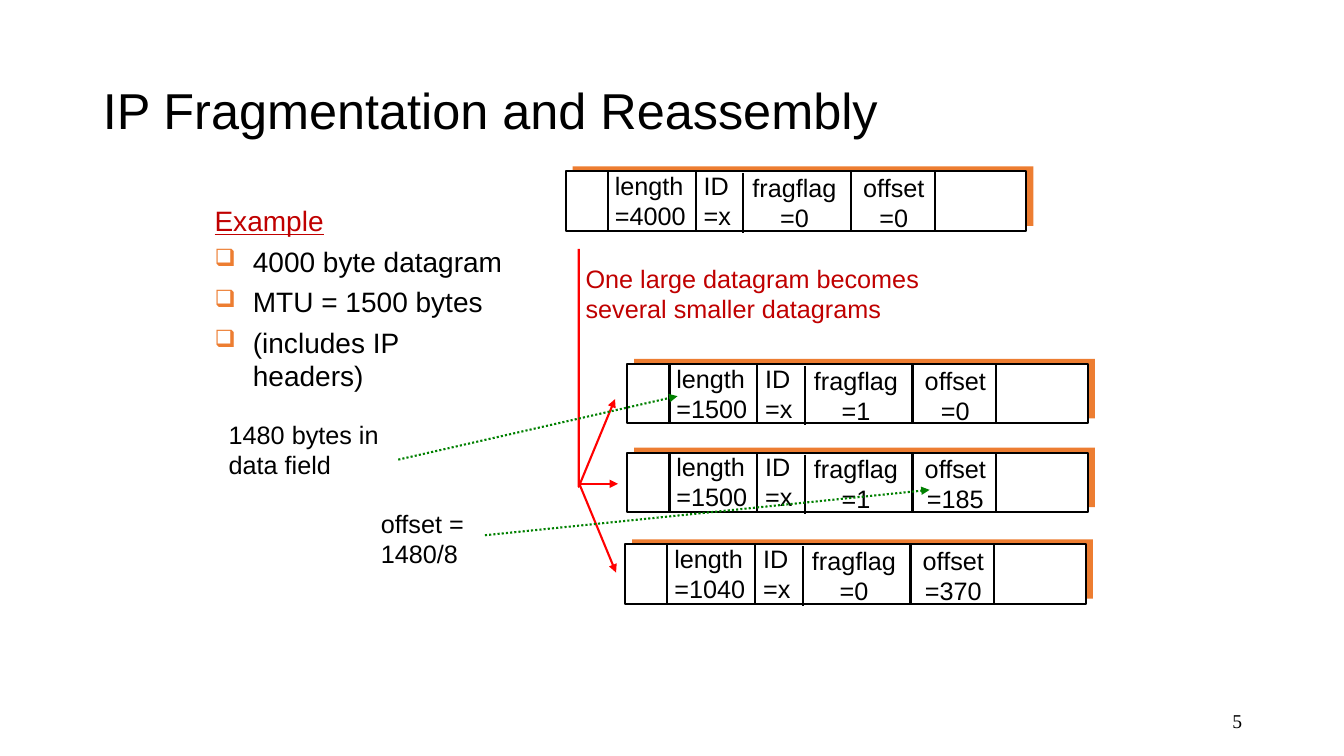
from lxml.etree import SubElement
from pptx import Presentation
from pptx.dml.color import RGBColor
from pptx.enum.dml import MSO_LINE
from pptx.enum.shapes import MSO_CONNECTOR, MSO_SHAPE
from pptx.enum.text import MSO_ANCHOR, PP_ALIGN
from pptx.oxml.ns import qn
from pptx.util import Pt

PX = 9144
BLACK, WHITE, ORANGE = "000000", "FFFFFF", "ED7D31"
CRIMSON, RED, GREEN = "C00000", "FF0000", "008000"

TITLE = "IP Fragmentation and Reassembly"
EXAMPLE = ["Example", "4000 byte datagram", "MTU = 1500 bytes", "(includes IP headers)"]
DATAGRAMS = [
    (561, 170, ["=4000", "=x", "=0", "=0"]),
    (622, 361, ["=1500", "=x", "=1", "=0"]),
    (622, 449, ["=1500", "=x", "=1", "=185"]),
    (620, 540, ["=1040", "=x", "=0", "=370"]),
]
FIELDS = [
    ("length", 39, -6, 94, PP_ALIGN.LEFT),
    ("ID", 127, -6, 48, PP_ALIGN.LEFT),
    ("fragflag", 175, -4, 104, PP_ALIGN.CENTER),
    ("offset", 285, -4, 81, PP_ALIGN.CENTER),
]
DIVIDERS = [(42, 0), (129, 0), (176, 2), (283, 0), (366, 0)]
FRAME_WIDTH, FRAME_HEIGHT = 457, 59
LABELS = [
    (571, 256, 357, ["One large datagram becomes", "several smaller datagrams"], CRIMSON),
    (217, 411, 177, ["1480 bytes in", "data field"], BLACK),
    (368, 499, 104, ["offset =", "1480/8"], BLACK),
]
SPLIT_PATH = [(574, 247), (574, 483), (610, 396)]
ARROWS = [
    ((574, 480), (613, 480), RED, None),
    ((575, 481), (611, 568), RED, None),
    ((395, 456), (672, 393), GREEN, MSO_LINE.ROUND_DOT),
    ((481, 531), (922, 486), GREEN, MSO_LINE.ROUND_DOT),
]


def color(value):
    return RGBColor.from_string(value)


def px(*lengths):
    return [length * PX for length in lengths]


def write(para, text, size=18, fill=BLACK, font="Arial", align=PP_ALIGN.LEFT, underline=None):
    para.alignment = align
    span = para.add_run()
    span.text = text
    span.font.size = Pt(size)
    span.font.name = font
    span.font.color.rgb = color(fill)
    span.font.underline = underline


def add_text(shapes, area, lines, wrap=False, anchor=MSO_ANCHOR.TOP, **style):
    frame = shapes.add_textbox(*px(*area)).text_frame
    frame.word_wrap = wrap
    frame.vertical_anchor = anchor
    for index, line in enumerate(lines):
        para = frame.add_paragraph() if index else frame.paragraphs[0]
        write(para, line, **style)


def add_rect(shapes, area, fill, line=None):
    rect = shapes.add_shape(MSO_SHAPE.RECTANGLE, *px(*area))
    rect.shadow.inherit = False
    rect.fill.solid()
    rect.fill.fore_color.rgb = color(fill)
    if line:
        rect.line.color.rgb = color(line)
        rect.line.width = Pt(1.5)
    else:
        rect.line.fill.background()


def style_line(shape, fill, dash=None, arrow=False):
    shape.line.color.rgb = color(fill)
    shape.line.width = Pt(1.5)
    if dash:
        shape.line.dash_style = dash
    if arrow:
        SubElement(shape.line._get_or_add_ln(), qn("a:tailEnd"), type="triangle")


def add_line(shapes, start, end, fill, dash=None, arrow=False):
    line = shapes.add_connector(MSO_CONNECTOR.STRAIGHT, *px(*start, *end))
    style_line(line, fill, dash, arrow)
    SubElement(line._element.spPr, qn("a:effectLst"))


def add_datagram(page, left, top, values):
    shapes = page.shapes.add_group_shape().shapes
    add_rect(shapes, (left + 7, top - 5, FRAME_WIDTH, FRAME_HEIGHT), ORANGE)
    add_rect(shapes, (left, top, FRAME_WIDTH, FRAME_HEIGHT), WHITE, BLACK)
    for (name, dx, dy, width, align), value in zip(FIELDS, values):
        add_text(shapes, (left + dx, top + dy, width, 71), [name, value], align=align)
    for dx, dy in DIVIDERS:
        x, y = left + dx, top + dy
        add_line(shapes, (x, y), (x, y + FRAME_HEIGHT), BLACK)


def add_example(page):
    frame = page.shapes.add_textbox(*px(203, 197, 310, 184)).text_frame
    frame.word_wrap = True
    write(frame.paragraphs[0], EXAMPLE[0], size=20, fill=CRIMSON, underline=True)
    for item in EXAMPLE[1:]:
        para = frame.add_paragraph()
        para.space_before = Pt(5)
        props = para._p.get_or_add_pPr()
        props.set("marL", str(38 * PX))
        props.set("indent", str(-38 * PX))
        SubElement(SubElement(props, qn("a:buClr")), qn("a:srgbClr"), val=ORANGE)
        SubElement(props, qn("a:buSzPct"), val="85000")
        SubElement(props, qn("a:buChar"), char="❑")
        write(para, item, size=20)


def main():
    deck = Presentation()
    deck.slide_width, deck.slide_height = px(1333, 750)
    page = deck.slides.add_slide(deck.slide_layouts[5])

    title = page.shapes.title
    title.left, title.top, title.width, title.height = px(92, 40, 1150, 145)
    title.text_frame.vertical_anchor = MSO_ANCHOR.MIDDLE
    heading = title.text_frame.paragraphs[0]
    heading.line_spacing = 0.9
    write(heading, TITLE, size=36)

    add_text(page.shapes, (942, 695, 300, 40), ["5"], wrap=True, anchor=MSO_ANCHOR.MIDDLE,
             size=14, font="Times New Roman", align=PP_ALIGN.RIGHT)
    for datagram in DATAGRAMS:
        add_datagram(page, *datagram)

    builder = page.shapes.build_freeform(*SPLIT_PATH[0], scale=PX)
    builder.add_line_segments(SPLIT_PATH[1:], close=False)
    split = builder.convert_to_shape()
    split.shadow.inherit = False
    split.fill.background()
    style_line(split, RED, arrow=True)

    add_example(page)
    for left, top, width, lines, fill in LABELS:
        add_text(page.shapes, (left, top, width, 71), lines, fill=fill)
    for start, end, fill, dash in ARROWS:
        add_line(page.shapes, start, end, fill, dash, arrow=True)
    deck.save("out.pptx")


if __name__ == "__main__":
    main()
